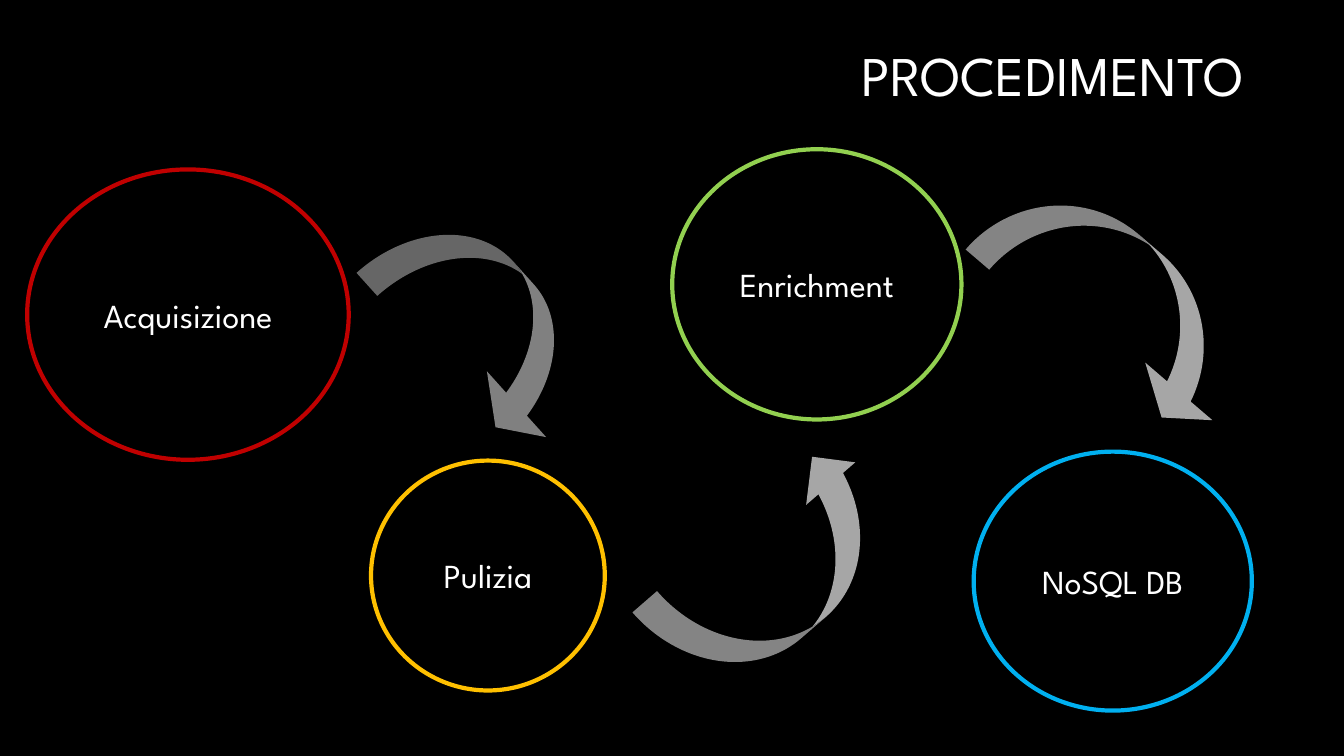
"""Build the PROCEDIMENTO slide: four process stages joined by curved arrows."""
from dataclasses import dataclass

from pptx import Presentation
from pptx.dml.color import RGBColor
from pptx.enum.shapes import MSO_SHAPE
from pptx.enum.text import MSO_ANCHOR, PP_ALIGN
from pptx.util import Pt

ELLIPSE = MSO_SHAPE.OVAL
CURVED_DOWN = MSO_SHAPE.CURVED_DOWN_ARROW
CURVED_UP = MSO_SHAPE.CURVED_UP_ARROW
MIDDLE = MSO_ANCHOR.MIDDLE
CENTER, RIGHT = PP_ALIGN.CENTER, PP_ALIGN.RIGHT


@dataclass(frozen=True)
class Theme:
    font: str = "League Spartan"
    background: str = "000000"
    text: str = "FFFFFF"
    red: str = "C00000"
    amber: str = "FFC000"
    blue: str = "00B0F0"
    green: str = "92D050"
    dark_gray: str = "808080"
    light_gray: str = "A6A6A6"
    title_size: float = 40
    stage_size: float = 24
    outline: float = 3


def write_text(frame, text, *, font, size, color, align=CENTER, line_spacing=1.0):
    frame.word_wrap = True
    frame.vertical_anchor = MIDDLE
    para = frame.paragraphs[0]
    para.alignment = align
    para.line_spacing = line_spacing
    span = para.add_run()
    span.text = text
    span.font.name = font
    span.font.size = Pt(size)
    span.font.color.rgb = RGBColor.from_string(color)


class ProcessSlide:
    def __init__(self, page, theme):
        self.page = page
        self.theme = theme
        fill = page.background.fill
        fill.solid()
        fill.fore_color.rgb = RGBColor.from_string(theme.background)

    def add_title(self, text, bounds, right_inset):
        box = self.page.shapes.add_textbox(*map(Pt, bounds))
        box.text_frame.margin_right = Pt(right_inset)
        write_text(box.text_frame, text, font=self.theme.font,
                   size=self.theme.title_size, color=self.theme.text,
                   align=RIGHT, line_spacing=0.9)

    def add_filled_shape(self, kind, bounds, color):
        shape = self.page.shapes.add_shape(kind, *map(Pt, bounds))
        shape.shadow.inherit = False
        shape.fill.solid()
        shape.fill.fore_color.rgb = RGBColor.from_string(color)
        return shape

    def add_stage(self, text, bounds, color):
        stage = self.add_filled_shape(ELLIPSE, bounds, self.theme.background)
        stage.line.color.rgb = RGBColor.from_string(color)
        stage.line.width = Pt(self.theme.outline)
        write_text(stage.text_frame, text, font=self.theme.font,
                   size=self.theme.stage_size, color=self.theme.text)

    def add_arrow(self, kind, bounds, rotation, color, bend):
        arrow = self.add_filled_shape(kind, bounds, color)
        arrow.line.fill.background()
        arrow.rotation = rotation
        arrow.adjustments[1] = bend


def main():
    deck = Presentation()
    deck.slide_width, deck.slide_height = Pt(960), Pt(540)
    theme = Theme()
    slide = ProcessSlide(deck.slides.add_slide(deck.slide_layouts[6]), theme)

    slide.add_title("PROCEDIMENTO", (228.2, 5, 678.2, 101.5), right_inset=18)

    stages = [
        ("Acquisizione", (19.4, 121, 229.7, 207.4), theme.red),
        ("Pulizia", (265, 329, 167, 164.2), theme.amber),
        ("NoSQL DB", (695.5, 322.6, 198.7, 185), theme.blue),
        ("Enrichment", (480.2, 106.6, 206.6, 193), theme.green),
    ]
    for stage in stages:
        slide.add_stage(*stage)

    arrows = [
        (CURVED_DOWN, (257.8, 187.9, 180, 88.6), 48, theme.dark_gray, 0.714),
        (CURVED_DOWN, (692.6, 170.6, 216, 88.6), 40.6, theme.light_gray, 0.714),
        (CURVED_UP, (458.6, 362.9, 193, 92.9), 319.1, theme.light_gray, 0.5),
    ]
    for arrow in arrows:
        slide.add_arrow(*arrow)

    deck.save("out.pptx")


if __name__ == "__main__":
    main()
